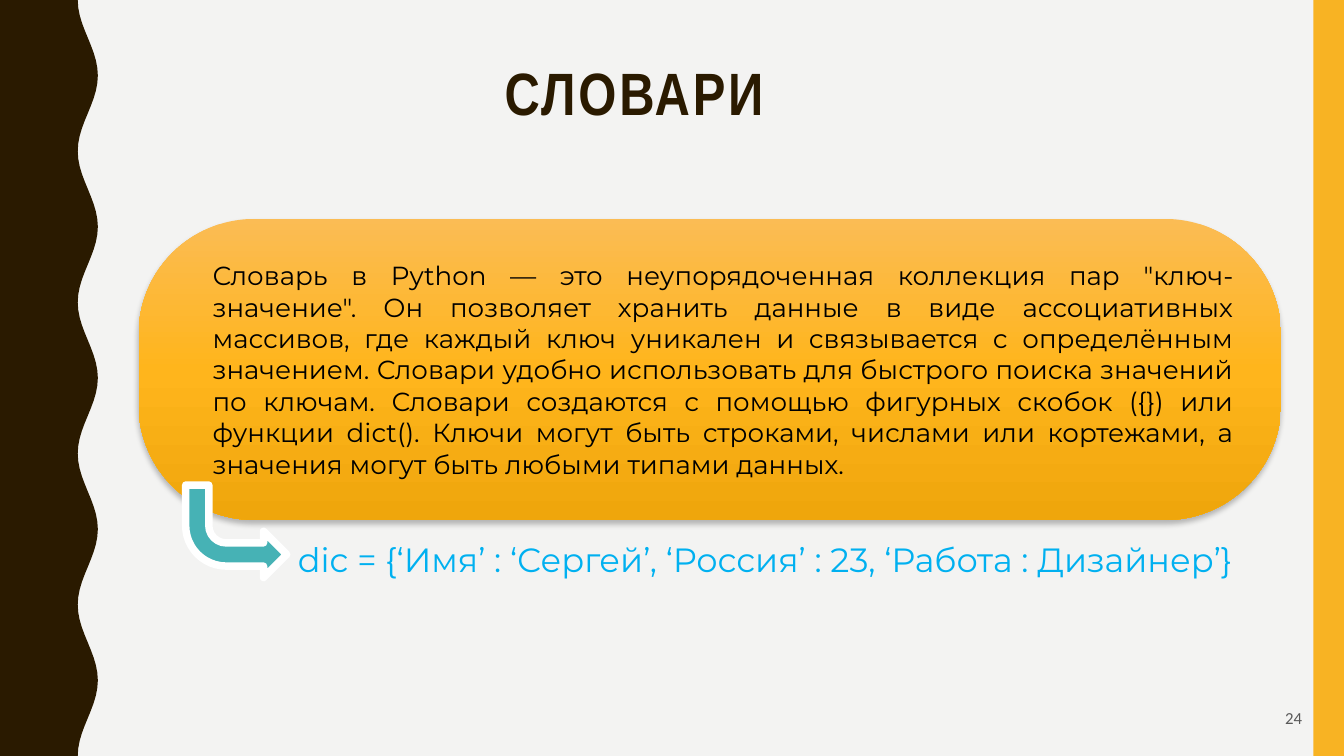
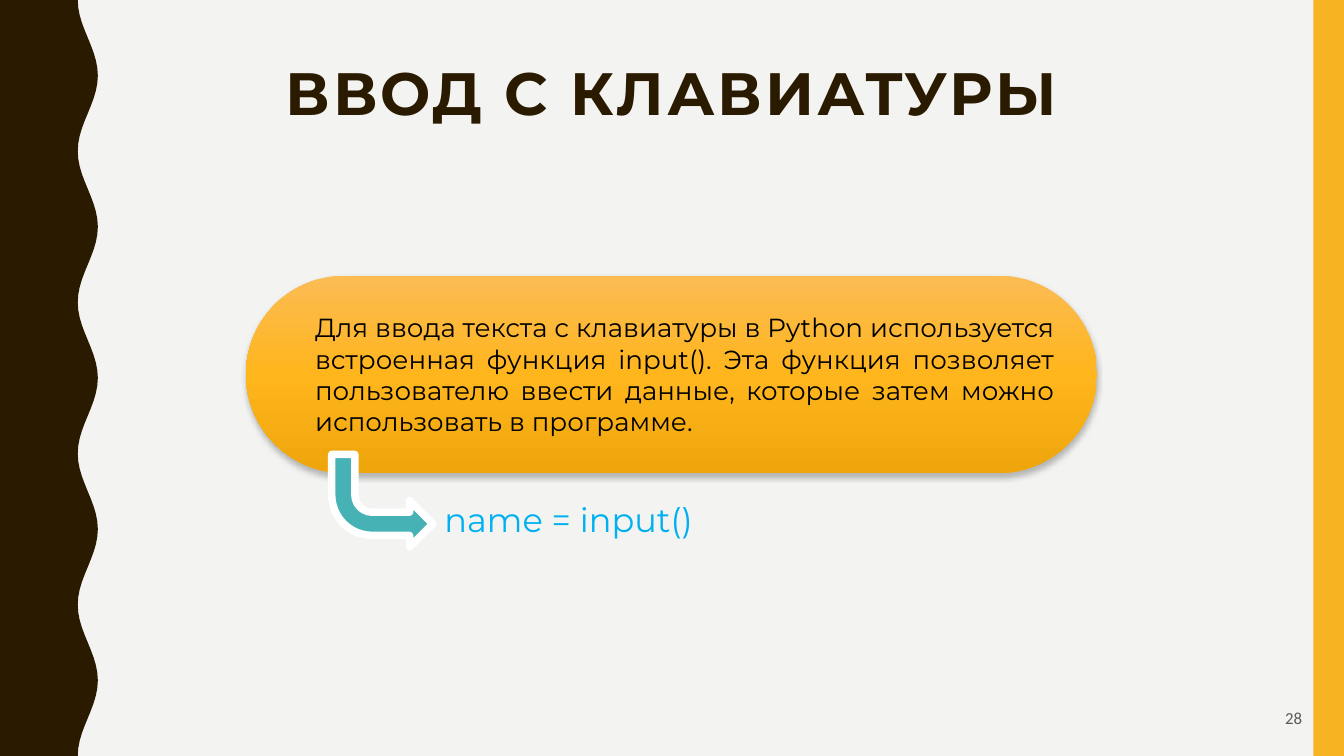
"""Build two slides on Python dictionaries and keyboard input."""
import copy
import math

from pptx import Presentation
from pptx import util as u
from pptx.dml.color import RGBColor
from pptx.enum import shapes, text
from pptx.oxml import parse_xml
from pptx.oxml.ns import nsdecls, qn

COLOURS = {
    "paper": "F3F3F2", "brown": "2A1A00", "band": "F8B323",
    "box_top": "FBBC54", "box_middle": "FFB51C", "box_bottom": "EFA60C",
    "arrow": "46B2B5", "outline": "FFFFFF", "code": "00B0F0",
    "body": "000000", "number": "595959",
}
BODY_FONT = "Montserrat"
WIDTH, HEIGHT = 25.4, 14.29
WAVE_LEFT, WAVE_RIGHT = 1.47, 1.85
WAVES, WAVE_STEPS = 5, 20
BAND_LEFT = 24.82

SLIDES = [
    {
        "title": "СЛОВАРИ", "title_font": "Arial Narrow", "title_left": 1.47,
        "number": "24",
        "box": (2.62, 4.14, 21.59, 5.69), "rounding": 0.384,
        "body": "Словарь в Python — это неупорядоченная коллекция пар \"ключ-значение\". "
                "Он позволяет хранить данные в виде ассоциативных массивов, где каждый ключ "
                "уникален и связывается с определённым значением. Словари удобно использовать "
                "для быстрого поиска значений по ключам. Словари создаются с помощью фигурных "
                "скобок ({}) или функции dict(). Ключи могут быть строками, числами или "
                "кортежами, а значения могут быть любыми типами данных.",
        "arrow": (3.51, 9.17),
        "code": "dic = {‘Имя’ : ‘Сергей’, ‘Россия’ : 23, ‘Работа : Дизайнер’}",
        "code_area": (5.38, 10.06, 19.08, 1.02),
    },
    {
        "title": "ВВОД С КЛАВИАТУРЫ", "title_font": BODY_FONT, "title_left": 2.18,
        "number": "28",
        "box": (4.65, 5.21, 16.08, 3.73), "rounding": 0.5,
        "body": "Для ввода текста с клавиатуры в Python используется встроенная функция "
                "input(). Эта функция позволяет пользователю ввести данные, которые затем "
                "можно использовать в программе.",
        "arrow": (6.27, 8.59),
        "code": "name = input()",
        "code_area": (8.15, 9.3, 12.24, 1.02),
    },
]


def colour(name):
    """Return a named colour."""
    return RGBColor.from_string(COLOURS[name])


def cms(*lengths):
    """Convert centimetres to lengths."""
    return [u.Cm(length) for length in lengths]


def paint(shape, fill):
    """Give a shape a plain fill without line or shadow."""
    shape.fill.solid()
    shape.fill.fore_color.rgb = colour(fill)
    shape.line.fill.background()
    shape.shadow.inherit = False


def set_insets(frame, left, top, right, bottom):
    """Set the inner margins of a text frame."""
    frame.margin_left, frame.margin_top, frame.margin_right, frame.margin_bottom = cms(
        left, top, right, bottom)


def write(frame, words, size, tint, font=BODY_FONT, align=text.PP_ALIGN.LEFT):
    """Put one formatted paragraph in a frame and return it."""
    frame.word_wrap = True
    para = frame.paragraphs[0]
    para.text = words
    para.alignment = align
    para.font.size = u.Pt(size)
    para.font.name = font
    para.font.color.rgb = colour(tint)
    return para


def add_bands(page):
    """Draw the wavy left edge and the right band."""
    middle = (WAVE_LEFT + WAVE_RIGHT) / 2
    swing = (WAVE_RIGHT - WAVE_LEFT) / 2
    count = WAVES * WAVE_STEPS
    edge = [cms(middle - swing * math.cos(2 * math.pi * step / WAVE_STEPS),
                HEIGHT * step / count) for step in range(count + 1)]
    builder = page.shapes.build_freeform(0, 0)
    builder.add_line_segments(edge + [cms(0, HEIGHT)], close=True)
    paint(builder.convert_to_shape(), "brown")
    band = page.shapes.add_shape(shapes.MSO_SHAPE.RECTANGLE,
                                 *cms(BAND_LEFT, 0, WIDTH - BAND_LEFT, HEIGHT))
    paint(band, "band")


def add_title(page, words, font, left):
    """Place and format the title."""
    title = page.shapes.title
    title.left, title.top, title.width, title.height = cms(left, 0.71, 21.03, 1.96)
    frame = title.text_frame
    frame.auto_size = text.MSO_AUTO_SIZE.NONE
    frame.vertical_anchor = text.MSO_ANCHOR.BOTTOM
    set_insets(frame, 0.25, 0.25, 0.25, 0.25)
    para = write(frame, words, 32, "brown", font, text.PP_ALIGN.CENTER)
    para.font.bold = True
    para.line_spacing = 0.9
    for span in para.runs:
        span.font._element.set("spc", "150")


def add_number(page, number):
    """Write the page number."""
    frame = page.shapes.add_textbox(*cms(23.34, 13.18, 1.52, 1.09)).text_frame
    set_insets(frame, 0.25, 0.25, 0.25, 0.25)
    write(frame, number, 9, "number", "Calibri", text.PP_ALIGN.RIGHT)


def add_definition(page, words, area, rounding):
    """Draw the shaded rounded box with its explanation."""
    box = page.shapes.add_shape(shapes.MSO_SHAPE.ROUNDED_RECTANGLE, *cms(*area))
    box.adjustments[0] = rounding
    box.line.fill.background()
    box.fill.gradient()
    box.fill.gradient_angle = 270
    properties = box._element.spPr
    stops = properties.find(".//" + qn("a:gsLst"))
    stops.insert(1, copy.deepcopy(stops[0]))
    names = ("box_top", "box_middle", "box_bottom")
    for index, (stop, name) in enumerate(zip(box.fill.gradient_stops, names)):
        stop.position = index / 2
        stop.color.rgb = colour(name)
    box.shadow.inherit = False
    properties.find(qn("a:effectLst")).append(parse_xml(
        f'<a:outerShdw {nsdecls("a")} blurRad="{u.Pt(3)}" dist="{u.Pt(2)}" dir="5400000" '
        f'algn="ctr" rotWithShape="0"><a:srgbClr val="{COLOURS["body"]}">'
        '<a:alpha val="25000"/></a:srgbClr></a:outerShdw>'))
    frame = box.text_frame
    frame.auto_size = text.MSO_AUTO_SIZE.SHAPE_TO_FIT_TEXT
    frame.vertical_anchor = text.MSO_ANCHOR.MIDDLE
    set_insets(frame, 0.76, 0.13, 0.25, 0.13)
    write(frame, words, 14, "body", align=text.PP_ALIGN.JUSTIFY)


def add_arrow(page, left, top):
    """Draw the bent arrow that leads to the code."""
    arrow = page.shapes.add_shape(shapes.MSO_SHAPE.BENT_ARROW, *cms(left, top, 1.91, 1.75))
    paint(arrow, "arrow")
    arrow.line.color.rgb = colour("outline")
    arrow.line.width = u.Pt(4)
    arrow._element.spPr.find(qn("a:xfrm")).set("flipV", "1")


def add_code(page, words, area):
    """Write the code example."""
    frame = page.shapes.add_textbox(*cms(*area)).text_frame
    frame.auto_size = text.MSO_AUTO_SIZE.SHAPE_TO_FIT_TEXT
    write(frame, words, 18, "code")


def main():
    """Build and save the deck."""
    deck = Presentation()
    deck.slide_width, deck.slide_height = cms(WIDTH, HEIGHT)
    backdrop = deck.slide_master.background.fill
    backdrop.solid()
    backdrop.fore_color.rgb = colour("paper")
    for content in SLIDES:
        page = deck.slides.add_slide(deck.slide_layouts.get_by_name("Title Only"))
        add_bands(page)
        add_title(page, content["title"], content["title_font"], content["title_left"])
        add_number(page, content["number"])
        add_definition(page, content["body"], content["box"], content["rounding"])
        add_arrow(page, *content["arrow"])
        add_code(page, content["code"], content["code_area"])
    deck.save("out.pptx")


if __name__ == "__main__":
    main()
